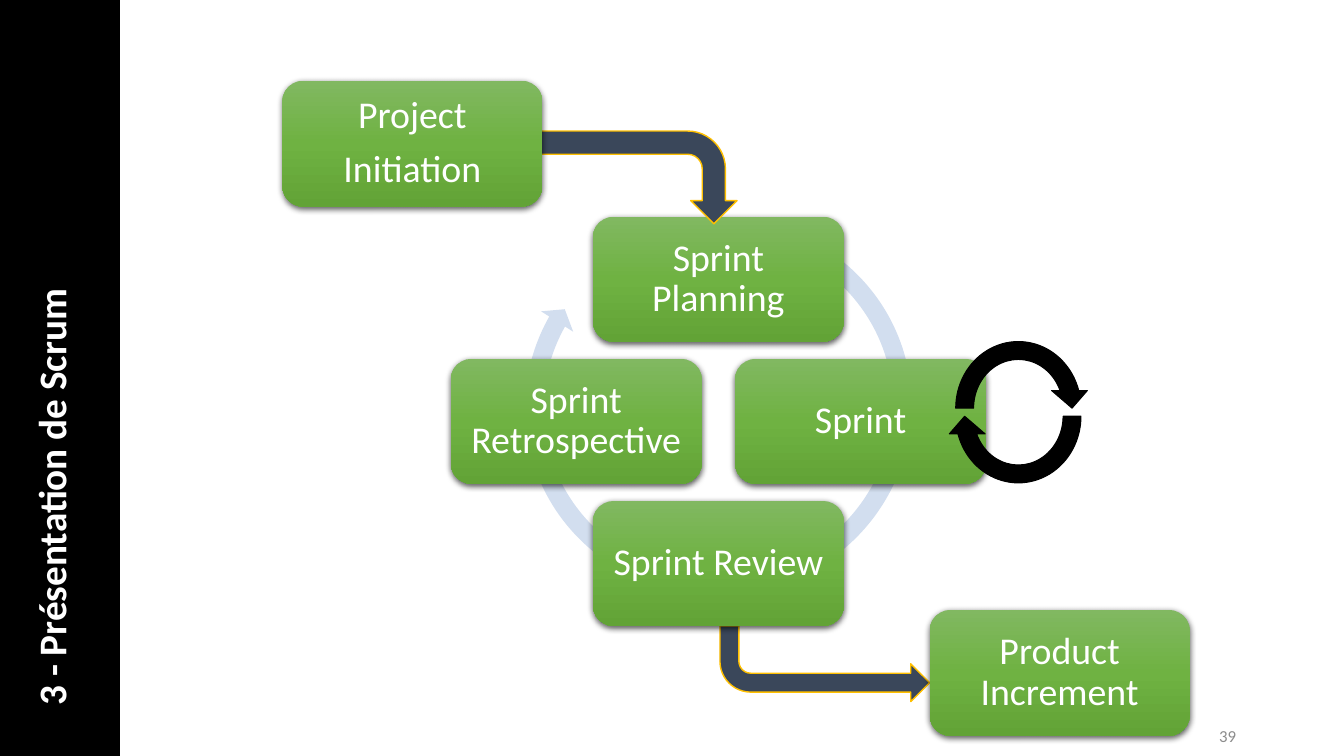
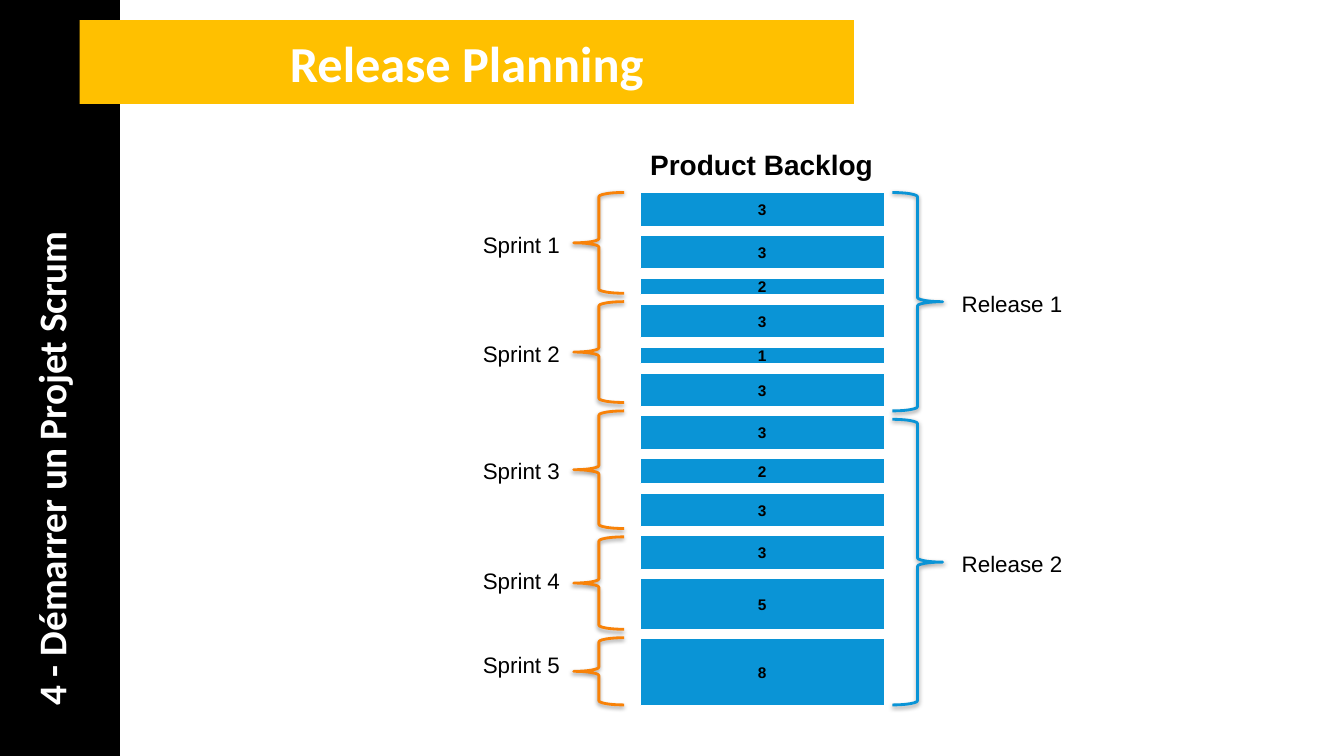
"""Build two Scrum slides: the sprint cycle and the release plan."""
from copy import deepcopy

from lxml import etree
from pptx import Presentation
from pptx.dml.color import RGBColor
from pptx.enum.shapes import MSO_SHAPE
from pptx.enum.text import MSO_ANCHOR, MSO_AUTO_SIZE, PP_ALIGN
from pptx.oxml.ns import qn
from pptx.util import Inches, Pt

RECT, ROUNDED = MSO_SHAPE.RECTANGLE, MSO_SHAPE.ROUNDED_RECTANGLE
BENT, CIRCULAR = MSO_SHAPE.BENT_ARROW, MSO_SHAPE.CIRCULAR_ARROW
LEFT_BRACE, RIGHT_BRACE = MSO_SHAPE.LEFT_BRACE, MSO_SHAPE.RIGHT_BRACE
LEFT, CENTER, RIGHT = PP_ALIGN.LEFT, PP_ALIGN.CENTER, PP_ALIGN.RIGHT
TOP, MIDDLE = MSO_ANCHOR.TOP, MSO_ANCHOR.MIDDLE
BLACK, WHITE, GRAY = "000000", "FFFFFF", "8C8C8C"
AMBER, SLATE, PALE_BLUE = "FFC000", "3A475A", "D2DEEF"
BLUE, ORANGE = "0A94D6", "F88208"
GREENS = ("81B861", "6FB242", "62A336")
STEP_SHADOW = (63, 4.5, 1.5)
BRACE_SHADOW = (38, 3.1, 1.6)
rgb = RGBColor.from_string


def draw(slide, kind, at, fill=None, line=None, width=1, shadow=None):
    """Add a preset shape with the given fill, outline and downward shadow."""
    shape = slide.shapes.add_shape(kind, *map(Inches, at))
    shape.shadow.inherit = False
    if fill:
        shape.fill.solid()
        shape.fill.fore_color.rgb = rgb(fill)
    else:
        shape.fill.background()
    if line:
        shape.line.color.rgb = rgb(line)
        shape.line.width = Pt(width)
    else:
        shape.line.fill.background()
    if shadow:
        alpha, blur, distance = shadow
        effects = shape._element.spPr.find(qn("a:effectLst"))
        outer = etree.SubElement(effects, qn("a:outerShdw"), blurRad=str(Pt(blur)),
                                 dist=str(Pt(distance)), dir="5400000", rotWithShape="0")
        color = etree.SubElement(outer, qn("a:srgbClr"), val=BLACK)
        etree.SubElement(color, qn("a:alpha"), val=str(alpha * 1000))
    return shape


def write(shape, text, size, color, font="Calibri", bold=False, align=CENTER,
          anchor=MIDDLE, wrap=True):
    """Set the text of a shape and format all of its paragraphs."""
    frame = shape.text_frame
    frame.text = text
    frame.word_wrap = wrap
    frame.auto_size = MSO_AUTO_SIZE.NONE
    frame.vertical_anchor = anchor
    for paragraph in frame.paragraphs:
        paragraph.alignment = align
        for run in paragraph.runs:
            run.font.size = Pt(size)
            run.font.name = font
            run.font.bold = bold
            run.font.color.rgb = rgb(color)


prs = Presentation()
prs.slide_width, prs.slide_height = Inches(13.33), Inches(7.5)
title_only = prs.slide_layouts[5]
cycle = prs.slides.add_slide(title_only)
plan = prs.slides.add_slide(title_only)

side_band = draw(cycle, RECT, (0, 0, 1.19, 7.5), BLACK)
title_only.shapes._spTree.insert(2, side_band._element)

heading = plan.shapes.title
heading.left, heading.top = Inches(0.79), Inches(0.2)
heading.width, heading.height = Inches(7.68), Inches(0.83)
heading.fill.solid()
heading.fill.fore_color.rgb = rgb(AMBER)
write(heading, "Release Planning", 36, WHITE, bold=True)

sections = [
    (cycle.shapes.title, "3 - Présentation de Scrum"),
    (plan.shapes.add_textbox(0, 0, 0, 0), "4 - Démarrer un Projet Scrum"),
]
for section, name in sections:
    section.left, section.top = Inches(-3.43), Inches(2.88)
    section.width, section.height = Inches(7.87), Inches(0.57)
    section.rotation = 270
    write(section, name, 28, WHITE, bold=True, align=LEFT, anchor=TOP)

page_number = cycle.shapes.add_textbox(*map(Inches, (9.36, 7.1, 3, 0.4)))
write(page_number, "39", 12, GRAY, align=RIGHT)

exit_arrow = draw(cycle, BENT, (7.14, 6.21, 2.08, 0.75), SLATE, AMBER)
exit_arrow.rotation = 180
exit_arrow._element.spPr.find(qn("a:xfrm")).set("flipH", "1")
ring = draw(cycle, CIRCULAR, (5.11, 2.07, 4.03, 3.93), PALE_BLUE)
ring.rotation = 350.8
for index, value in enumerate((0.047, 2.729, 130.228, 179.017, 0.048)):
    ring.adjustments[index] = value
entry_arrow = draw(cycle, BENT, (5.85, 0.76, 0.92, 2), SLATE, AMBER)
entry_arrow.rotation = 90
for arrow in (exit_arrow, entry_arrow):
    arrow.adjustments[3] = 0.408

steps = [
    ("Product Increment", 9.22, 6.05, 2.58, 1.25),
    ("Sprint Planning", 5.88, 2.15, 2.49, 1.24),
    ("Sprint", 7.29, 3.56, 2.49, 1.24),
    ("Sprint Review", 5.88, 4.97, 2.49, 1.24),
    ("Sprint Retrospective", 4.47, 3.56, 2.49, 1.24),
    ("Project\nInitiation", 2.8, 0.8, 2.58, 1.25),
]
for name, *at in steps:
    step = draw(cycle, ROUNDED, at, shadow=STEP_SHADOW)
    step.fill.gradient()
    step.fill.gradient_angle = 270
    stop_list = step._element.spPr.find(".//" + qn("a:gsLst"))
    stop_list.insert(1, deepcopy(stop_list[0]))
    for stop, position, green in zip(step.fill.gradient_stops, (0, 0.5, 1), GREENS):
        stop.position = position
        stop.color.rgb = rgb(green)
    write(step, name, 27, WHITE)
    frame = step.text_frame
    frame.margin_left = frame.margin_right = Inches(0.11)
    frame.margin_top = frame.margin_bottom = Inches(0.11)
    for paragraph in frame.paragraphs:
        paragraph.line_spacing = 0.9
        paragraph.space_after = Pt(9.45)

cycle.shapes._spTree.append(entry_arrow._element)
cycle.shapes._spTree.append(step._element)

daily_top = draw(cycle, CIRCULAR, (9.39, 3.3, 1.42, 1.5), BLACK, BLACK, 0.75)
daily_bottom = draw(cycle, CIRCULAR, (9.39, 3.38, 1.42, 1.5), BLACK, BLACK, 0.75)
for flip in ("flipH", "flipV"):
    daily_bottom._element.spPr.find(qn("a:xfrm")).set(flip, "1")

backlog_top, backlog_bottom, unit = 1.91, 7, 1 / 12
backlog = [(3, 4), (3, 4), (2, 2), (3, 4), (1, 2), (3, 4),
           (3, 4), (2, 3), (3, 4), (3, 4), (5, 6), (8, 8)]
bars_height = sum(units for points, units in backlog) * unit
gap = (backlog_bottom - backlog_top - bars_height) / (len(backlog) - 1)
top = backlog_top
for points, units in backlog:
    story = draw(plan, RECT, (6.35, top, 2.42, units * unit), BLUE, WHITE, 0.75)
    write(story, str(points), 11, BLACK, "Arial", bold=True)
    top += units * unit + gap

backlog_label = plan.shapes.add_textbox(*map(Inches, (6.35, 1.41, 2.43, 0.44)))
write(backlog_label, "Product Backlog", 20, BLACK, "Arial", bold=True,
      align=LEFT, anchor=TOP, wrap=False)

brace_groups = [
    ("Sprint", LEFT_BRACE, 5.69, ORANGE, 4.69, 0.98,
     [(12, 2.24), (12, 3.33), (14, 4.49), (11, 5.58), (8, 6.41)]),
    ("Release", RIGHT_BRACE, 8.85, BLUE, 9.44, 1.21, [(26, 2.83), (34, 5.41)]),
]
for name, kind, left, color, label_left, label_width, spans in brace_groups:
    top = backlog_top
    for number, (units, label_top) in enumerate(spans, 1):
        draw(plan, kind, (left, top, 0.5, units * unit), line=color, width=2,
             shadow=BRACE_SHADOW)
        label = plan.shapes.add_textbox(
            *map(Inches, (label_left, label_top, label_width, 0.37)))
        write(label, f"{name} {number}", 16, BLACK, "Arial", align=LEFT,
              anchor=TOP, wrap=False)
        top += (units + 1) * unit

prs.save("out.pptx")
